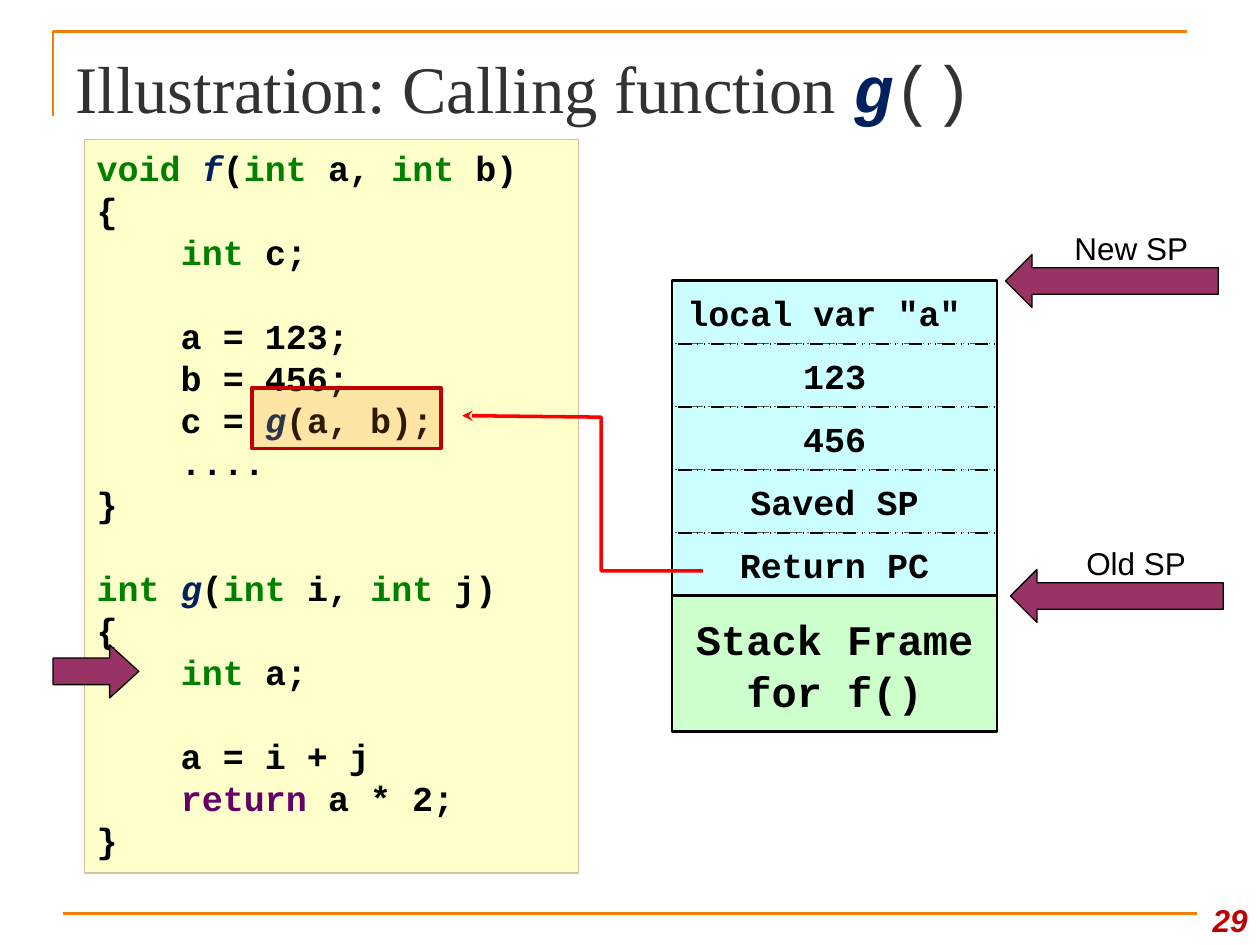
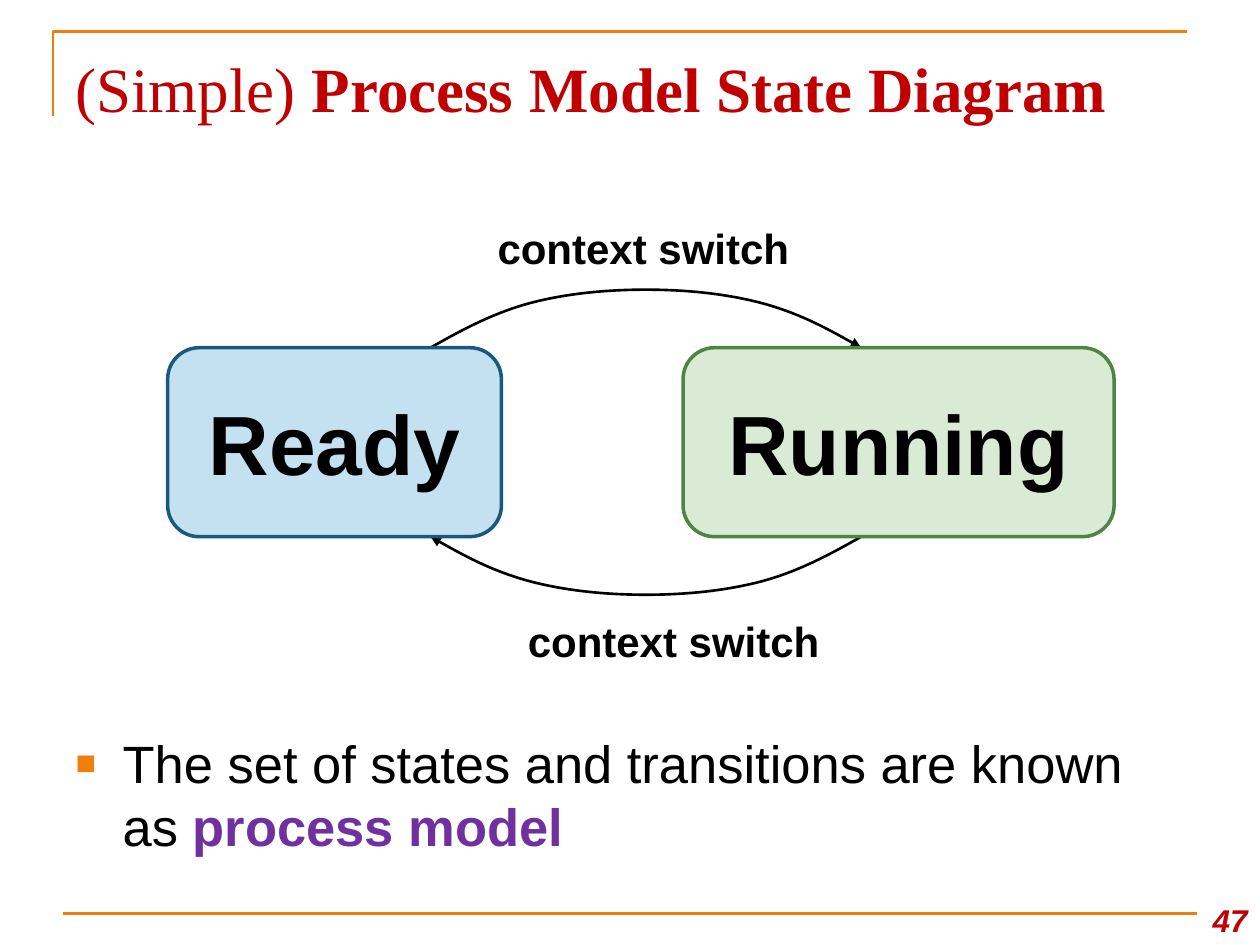
from itertools import groupby

from lxml import etree
from pptx import Presentation
from pptx import util as u
from pptx.dml import color
from pptx.enum import dml, shapes, text
from pptx.oxml import ns

COLORS = {
    "accent": "F07F09", "black": "000000", "title": "323232", "red": "C00000",
    "keyword": "008000", "function": "002060", "return": "660066",
    "code": "FFFFCC", "code_edge": "DAC19B", "new_frame": "CCFFFF",
    "old_frame": "CCFFCC", "arrow": "993366", "link": "FF0000",
    "ready": "C4E1F2", "ready_edge": "1B587C", "running": "D9EAD5",
    "running_edge": "4E8542", "term": "7030A0",
}
SYNTAX = {
    "void": {"color": "keyword"},
    "int": {"color": "keyword"},
    "return": {"color": "return"},
    "f": {"color": "function", "italic": True},
    "g": {"color": "function", "italic": True},
}
CODE = """void f(int a, int b)
{
    int c;

    a = 123;
    b = 456;
    c = g(a, b);
    ....
}

int g(int i, int j)
{
    int a;

    a = i + j
    return a * 2;
}"""
STACK = ['local var "a" ', "123", "456", "Saved SP", "Return PC"]
CENTER, MIDDLE = text.PP_ALIGN.CENTER, text.MSO_ANCHOR.MIDDLE
MONO = {"font": "Courier New", "bold": True}


def rgb(name):
    return color.RGBColor.from_string(COLORS[name])


def sub(parent, tag, **attributes):
    return etree.SubElement(parent, ns.qn(tag), attributes)


def add_run(paragraph, content, font="Arial", size=20, color="black", bold=False, italic=False):
    for index, line in enumerate(content.split("\n")):
        if index:
            paragraph.add_line_break()
        run = paragraph.add_run()
        run.text = line
        run.font.name, run.font.size = font, u.Pt(size)
        run.font.bold, run.font.italic = bold, italic
        run.font.color.rgb = rgb(color)


def write(paragraph, runs, align=text.PP_ALIGN.LEFT, pitch=None, before=0, **style):
    paragraph.alignment = align
    paragraph.space_before = u.Pt(before)
    if pitch:
        paragraph.line_spacing = u.Pt(pitch)
    for content, changes in [(runs, {})] if isinstance(runs, str) else runs:
        add_run(paragraph, content, **{**style, **changes})


class Deck:
    def __init__(self):
        self.presentation = Presentation()
        self.presentation.slide_width = u.Cm(25.4)
        self.presentation.slide_height = u.Cm(19.05)
        self.slide = None

    def start(self, layout, number, title, **style):
        self.slide = self.presentation.slides.add_slide(self.presentation.slide_layouts[layout])
        self.freeform([(1.07, 2.34), (1.07, 0.64), (23.93, 0.64)], "accent", 1.5)
        self.rule((1.27, 18.42), (24.13, 18.42))
        frame = self.placeholder(0, (1.27, 0.76, 22.86, 1.98))
        frame.vertical_anchor = MIDDLE
        write(frame.paragraphs[0], title, font="Times New Roman", **style)
        self.label((23.93, 17.78, 1.47, 1.27), number, wrap=True, anchor=text.MSO_ANCHOR.BOTTOM,
                   align=text.PP_ALIGN.RIGHT, size=18, color="red", bold=True, italic=True)

    def placeholder(self, index, box):
        shape = self.slide.placeholders[index]
        shape.left, shape.top, shape.width, shape.height = map(u.Cm, box)
        shape.text_frame.auto_size = text.MSO_AUTO_SIZE.NONE
        return shape.text_frame

    def bullet(self, box, runs, **style):
        paragraph = self.placeholder(1, box).paragraphs[0]
        write(paragraph, runs, **style)
        properties = paragraph._p.get_or_add_pPr()
        properties.set("marL", str(u.Cm(0.95)))
        properties.set("indent", str(-u.Cm(0.95)))
        sub(sub(properties, "a:buClr"), "a:srgbClr", val=COLORS["accent"])
        sub(properties, "a:buSzPct", val="65000")
        sub(properties, "a:buFont", typeface="Arial")
        sub(properties, "a:buChar", char="■")

    def rule(self, start, end):
        connector = self.slide.shapes.add_connector(
            shapes.MSO_CONNECTOR.STRAIGHT, *map(u.Cm, start + end))
        connector.line.color.rgb = rgb("accent")
        connector.line.width = u.Pt(1.5)
        sub(connector._element.spPr, "a:effectLst")

    def freeform(self, points, line, width, tail=None, curved=False):
        points = [(u.Cm(x), u.Cm(y)) for x, y in points]
        builder = self.slide.shapes.build_freeform(*points[0])
        builder.add_line_segments(points[1:], close=False)
        shape = builder.convert_to_shape()
        shape.shadow.inherit = False
        shape.fill.background()
        shape.line.color.rgb = rgb(line)
        shape.line.width = u.Pt(width)
        properties = shape._element.spPr
        if tail:
            sub(properties.find(ns.qn("a:ln")), "a:tailEnd", type=tail)
        if curved:
            outline = properties.find(".//" + ns.qn("a:path"))
            segments = outline.findall(ns.qn("a:lnTo"))
            for first in range(0, len(segments), 3):
                curve = sub(outline, "a:cubicBezTo")
                for segment in segments[first:first + 3]:
                    curve.append(segment[0])
                    outline.remove(segment)

    def shape(self, kind, box, fill, line, width=1.0, dash=None, alpha=None, adjust=()):
        shape = self.slide.shapes.add_shape(kind, *map(u.Cm, box))
        shape.shadow.inherit = False
        if fill:
            shape.fill.solid()
            shape.fill.fore_color.rgb = rgb(fill)
        else:
            shape.fill.background()
        if alpha:
            sub(shape._element.spPr.find(".//" + ns.qn("a:srgbClr")), "a:alpha", val=str(alpha * 1000))
        shape.line.color.rgb = rgb(line)
        shape.line.width = u.Pt(width)
        if dash:
            shape.line.dash_style = dash
        for index, value in enumerate(adjust):
            shape.adjustments[index] = value
        return shape

    def box(self, kind, box, content, fill, line="black", width=1.0, dash=None, wrap=False, **style):
        frame = self.shape(kind, box, fill, line, width, dash).text_frame
        frame.word_wrap, frame.vertical_anchor = wrap, MIDDLE
        write(frame.paragraphs[0], content, align=CENTER, **style)

    def label(self, box, content, wrap=False, anchor=text.MSO_ANCHOR.TOP, **style):
        frame = self.slide.shapes.add_textbox(*map(u.Cm, box)).text_frame
        frame.word_wrap, frame.vertical_anchor = wrap, anchor
        write(frame.paragraphs[0], content, **style)

    def code(self, box, source, pitch=24):
        frame = self.shape(shapes.MSO_SHAPE.RECTANGLE, box, "code", "code_edge", 0.75).text_frame
        frame.word_wrap, frame.vertical_anchor = True, text.MSO_ANCHOR.TOP
        paragraph, gap = frame.paragraphs[0], 0
        for line in source.split("\n"):
            if not line:
                gap += pitch
                continue
            paragraph = paragraph or frame.add_paragraph()
            tokens = ["".join(group) for _, group in groupby(line, str.isalnum)]
            write(paragraph, [(token, SYNTAX.get(token, {})) for token in tokens],
                  pitch=pitch, before=gap, **MONO)
            paragraph, gap = None, 0

    def pointer(self, left, top, content):
        self.shape(shapes.MSO_SHAPE.LEFT_ARROW, (left, top, 4.29, 1.07), "arrow", "black", 0.75)
        self.label((left + 0.58, top - 0.64, 3.91, 1.02), content, wrap=True, align=CENTER, size=18)


def calling_slide(deck):
    rectangle = shapes.MSO_SHAPE.RECTANGLE
    deck.start(5, "29", [
        ("Illustration: Calling function ", {}),
        ("g", {"font": "Courier New", "color": "function", "bold": True, "italic": True}),
        ("()", {"font": "Courier New"}),
    ], size=38, color="title")
    deck.code((1.7, 2.82, 9.96, 14.78), CODE)

    left, top, width, row = 13.55, 5.66, 6.55, 1.27
    for index, entry in enumerate(STACK):
        deck.box(rectangle, (left, top + index * row, width, row), entry, "new_frame",
                 dash=dml.MSO_LINE.DASH_DOT_DOT, **MONO)
    frame_height = row * len(STACK)
    deck.box(rectangle, (left, top + frame_height, width, 2.74), "Stack Frame\nfor f()",
             "old_frame", width=1.5, size=24, pitch=30, **MONO)
    deck.shape(rectangle, (left, top, width, frame_height), None, "black", 1.5)

    deck.pointer(20.37, 11.48, "Old SP")
    deck.freeform([(14.17, 11.51), (12.12, 11.51), (12.12, 8.41), (9.32, 8.38)],
                  "link", 2, tail="stealth")
    deck.shape(rectangle, (5.08, 7.82, 3.81, 1.22), "accent", "red", 2, alpha=20)
    deck.pointer(20.27, 5.13, "New SP")
    deck.shape(shapes.MSO_SHAPE.RIGHT_ARROW, (1.07, 13.0, 1.73, 1.07), "arrow", "black", 0.75,
               adjust=(0.5, 0.55))


def state_slide(deck):
    deck.start(1, "47", [("(Simple) ", {}), ("Process Model State Diagram", {"bold": True})],
               size=36, color="red")
    deck.bullet((1.27, 14.6, 22.86, 3.38), [
        ("The set of states and transitions are known as ", {}),
        ("process model", {"color": "term", "bold": True}),
    ], size=30, pitch=36)

    center, top, height = 13.02, 7.01, 3.81
    rise = [(4.34, 0), (3.71, 0.36), (3.09, 0.69), (2.37, 0.89), (1.63, 1.09), (0.81, 1.17), (0, 1.17)]
    arc = [(-x, y) for x, y in rise] + rise[-2::-1]
    for side, edge, label_left, label_top in [(1, top, 9.78, 4.37), (-1, top + height, 10.39, 12.29)]:
        deck.freeform([(center + side * x, edge - side * y) for x, y in arc],
                      "black", 1.5, tail="triangle", curved=True)
        deck.label((label_left, label_top, 6.4, 1.24), "context switch", size=24, bold=True)
    for name, left, width in [("Ready", 3.38, 6.73), ("Running", 13.77, 8.69)]:
        deck.box(shapes.MSO_SHAPE.ROUNDED_RECTANGLE, (left, top, width, height), name, name.lower(),
                 name.lower() + "_edge", 2, wrap=True, size=48, bold=True)


def main():
    deck = Deck()
    calling_slide(deck)
    state_slide(deck)
    deck.presentation.save("out.pptx")


if __name__ == "__main__":
    main()
